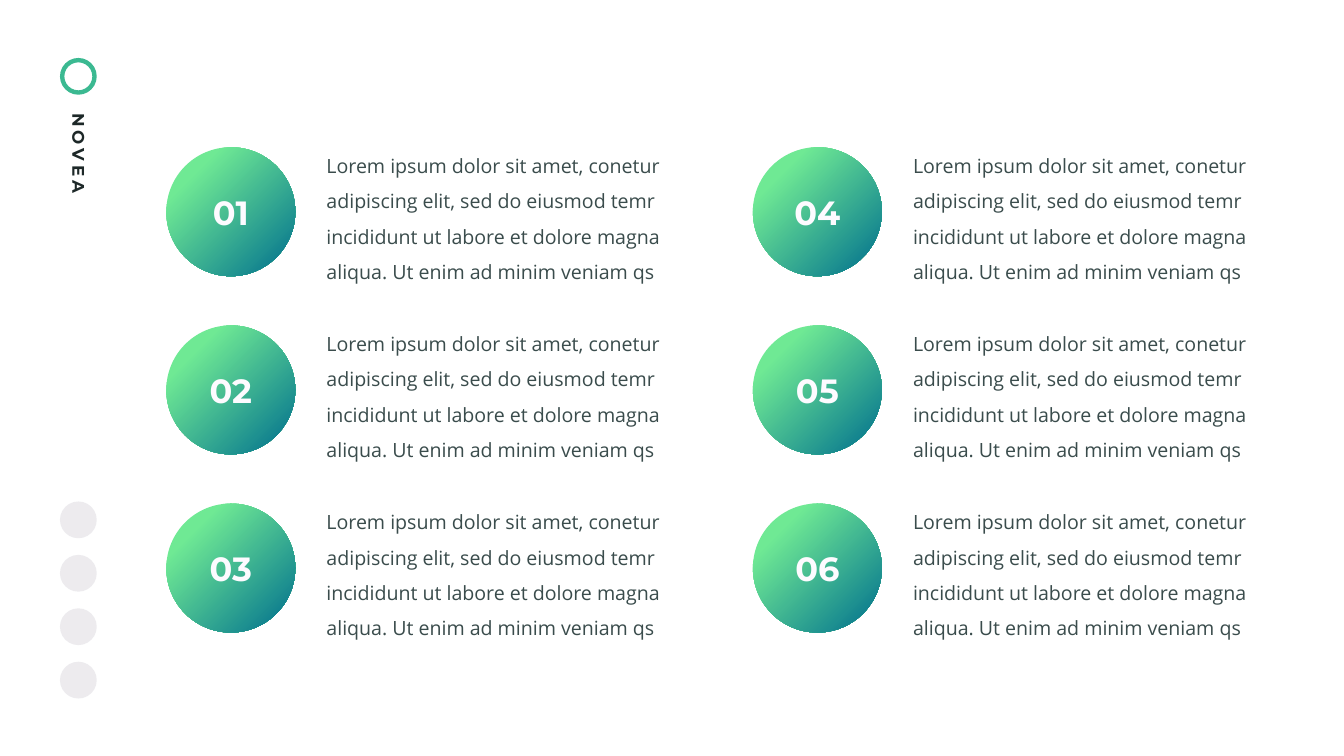
"""Build a slide with six numbered paragraphs and a narrow side bar."""
from typing import NamedTuple

from pptx import Presentation
from pptx.dml.color import RGBColor
from pptx.enum import shapes, text
from pptx.oxml.ns import qn
from pptx.util import Inches, Pt

BODY = ("Lorem ipsum dolor sit amet, conetur adipiscing elit, sed do eiusmod temr "
        "incididunt ut labore et dolore magna aliqua. Ut enim ad minim veniam qs")
SHAPE = shapes.MSO_SHAPE


class Box(NamedTuple):
    left: float
    top: float
    width: float
    height: float


class Item(NamedTuple):
    label: str
    left: float
    top: float


def color(code: str) -> RGBColor:
    """Turn a hex string into a colour."""
    return RGBColor.from_string(code)


def place(box: Box) -> list:
    """Give the box as lengths."""
    return [Inches(side) for side in box]


def style(para, size: float, face: str, code: str, bold: bool = False) -> None:
    """Set the font of a paragraph."""
    font = para.font
    font.size, font.name, font.bold = Pt(size), face, bold
    font.color.rgb = color(code)


def add_shape(slide, kind, box: Box, code: str = ""):
    """Add a shape without line or shadow, filled if a colour is given."""
    shape = slide.shapes.add_shape(kind, *place(box))
    shape.shadow.inherit = False
    shape.line.fill.background()
    if code:
        shape.fill.solid()
        shape.fill.fore_color.rgb = color(code)
    return shape


def add_text(slide, box: Box, words: str, spacing: float):
    """Add a wrapped text box and return it."""
    field = slide.shapes.add_textbox(*place(box))
    field.text_frame.word_wrap = True
    para = field.text_frame.paragraphs[0]
    para.text, para.line_spacing = words, spacing
    return field


def add_item(slide, item: Item) -> None:
    """Draw a numbered disc with its paragraph."""
    field = add_text(slide, Box(item.left + 3.08, item.top - 0.15, 6.96, 2.85), BODY, 1.5)
    style(field.text_frame.paragraphs[0], 28, "Open Sans", "3A4C4C")

    disc = add_shape(slide, SHAPE.OVAL, Box(item.left, item.top, 2.56, 2.56))
    disc.fill.gradient()
    disc.fill.gradient_angle = 315
    for stop, (spot, code) in zip(disc.fill.gradient_stops,
                                  [(0.21, "6FE994"), (0.99, "006F8E")]):
        stop.position, stop.color.rgb = spot, color(code)
    frame = disc.text_frame
    frame.word_wrap = False
    frame.vertical_anchor = text.MSO_ANCHOR.MIDDLE
    para = frame.paragraphs[0]
    para.text, para.alignment = item.label, text.PP_ALIGN.CENTER
    style(para, 48, "Montserrat", "FDFBFF", True)


def add_side(slide) -> None:
    """Draw the ring, the upright name and the four pale discs."""
    ring = add_shape(slide, SHAPE.DONUT, Box(1.19, 1.15, 0.73, 0.73), "3BB991")
    ring.adjustments[0] = 0.12

    name = add_text(slide, Box(0.52, 2.99, 2.05, 0.46), "NOVEA", 0.9)
    name.rotation = 90
    frame = name.text_frame
    frame.margin_left = frame.margin_right = Inches(0.05)
    para = frame.paragraphs[0]
    style(para, 24, "Montserrat", "1D2828", True)
    para.runs[0].font._element.set("spc", "600")

    for row in range(4):
        disc = add_shape(slide, SHAPE.OVAL, Box(1.19, 9.95 + 1.06 * row, 0.73, 0.73), "DEDBE1")
        tint = disc.fill._xPr.find(".//" + qn("a:srgbClr"))
        tint.makeelement(qn("a:alpha"), {})
        alpha = tint.makeelement(qn("a:alpha"), {"val": "54000"})
        tint.append(alpha)


def main() -> None:
    """Build and save the deck."""
    deck = Presentation()
    deck.slide_width, deck.slide_height = Inches(26.67), Inches(15)
    slide = deck.slides.add_slide(deck.slide_layouts[6])
    add_side(slide)
    for index in range(6):
        col, row = divmod(index, 3)
        add_item(slide, Item(f"{index + 1:02}", 3.3 + 11.64 * col, 2.92 + 3.535 * row))
    deck.save("out.pptx")


main()
